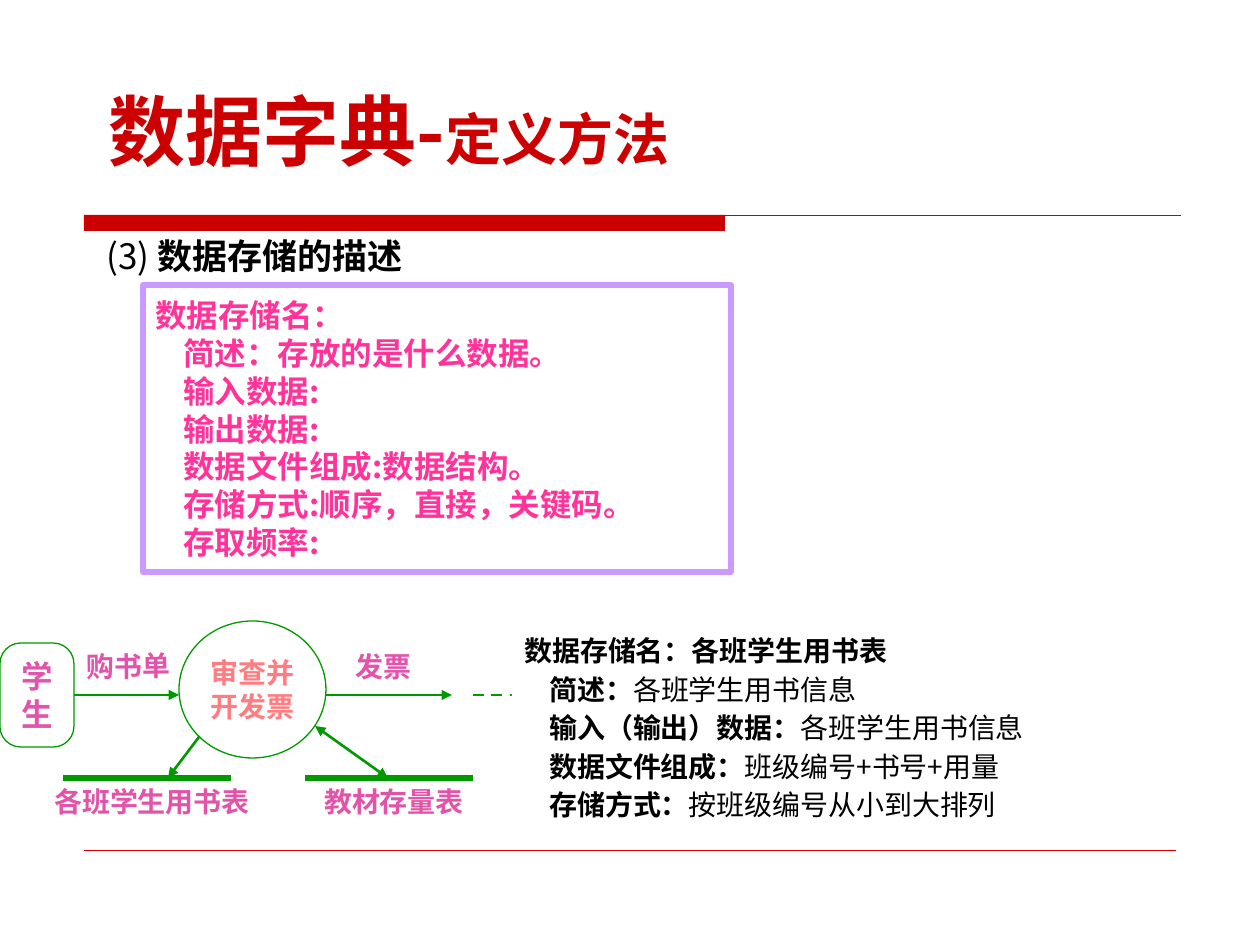
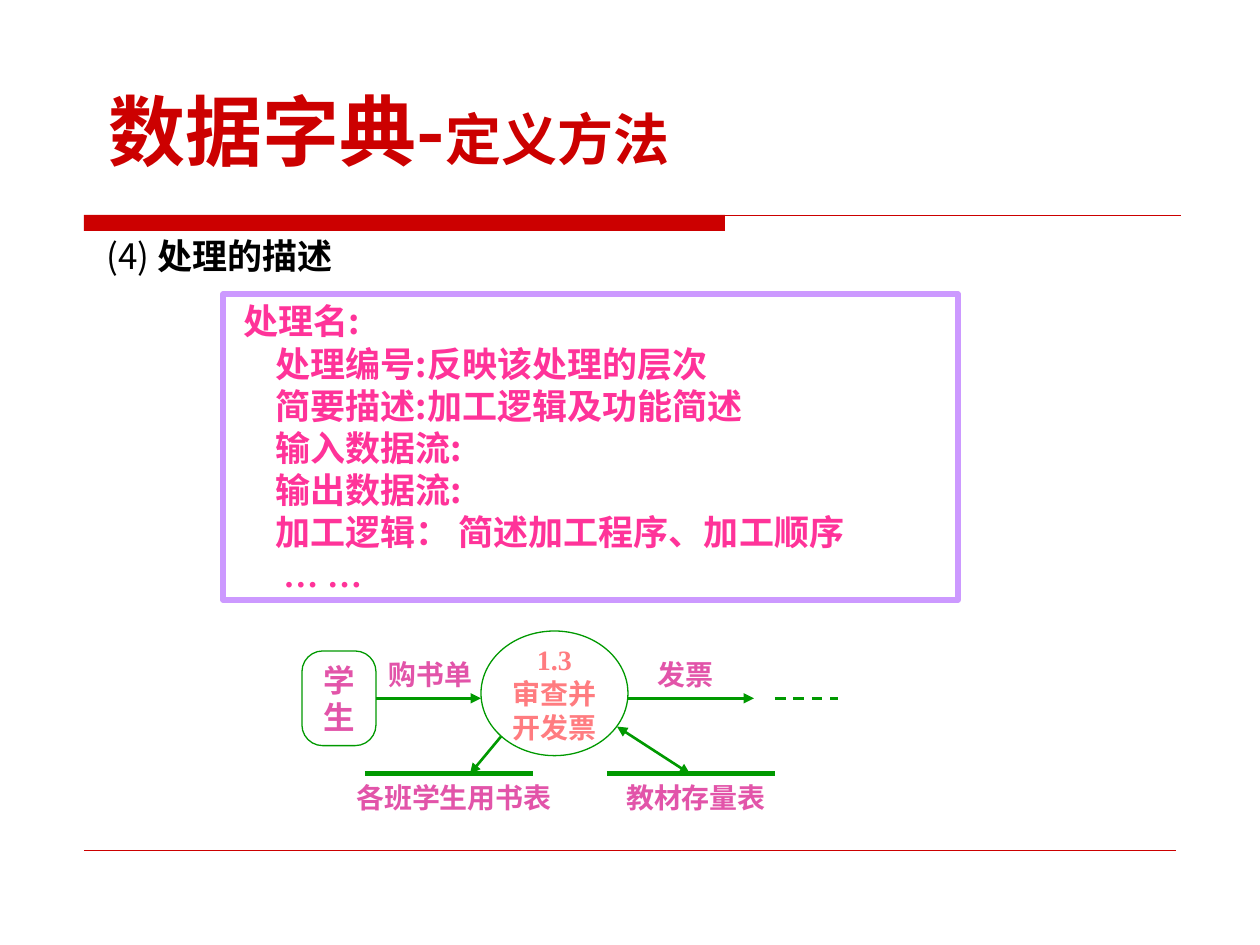
import pptx
import pptx.util
import pptx.dml.color
import pptx.enum.dml
import pptx.enum.shapes
import pptx.enum.text
import lxml.etree

SCALE = 914400 / 126
SANS, SERIF = "Noto Sans CJK SC", "Times New Roman"
COLORS = {"red": "CC0000", "green": "009900", "violet": "CC99FF", "pink": "FF3399",
          "label": "E254A9", "coral": "FF7C80", "black": "000000", "white": "FFFFFF"}
SHAPE = pptx.enum.shapes.MSO_SHAPE
LEFT, CENTER = pptx.enum.text.PP_ALIGN.LEFT, pptx.enum.text.PP_ALIGN.CENTER
TOP, MIDDLE = pptx.enum.text.MSO_ANCHOR.TOP, pptx.enum.text.MSO_ANCHOR.MIDDLE
BOTTOM = pptx.enum.text.MSO_ANCHOR.BOTTOM

TITLE = [("数据字典-", 44), ("定义方法", 32)]

SLIDES = [
    {
        "heading": ("(3) ", "数据存储的描述"),
        "template": {
            "at": (143, 285, 588, 287), "size": 18,
            "lines": [(0, "数据存储名："), (28, "简述：存放的是什么数据。"), (28, "输入数据:"),
                      (28, "输出数据:"), (28, "数据文件组成:数据结构。"),
                      (28, "存储方式:顺序，直接，关键码。"), (28, "存取频率:")],
        },
        "flow": {"left": 0, "top": 621, "stretch": 1, "process": ["审查并", "开发票"]},
        "example": [("数据存储名：各班学生用书表", ""),
                    ("简述：", "各班学生用书信息"),
                    ("输入（输出）数据：", "各班学生用书信息"),
                    ("数据文件组成：", "班级编号+书号+用量"),
                    ("存储方式：", "按班级编号从小到大排列")],
    },
    {
        "heading": ("(4) ", "处理的描述"),
        "template": {
            "at": (223, 294, 735, 306), "size": 20,
            "lines": [(8, "处理名:"), (40, "处理编号:反映该处理的层次"),
                      (40, "简要描述:加工逻辑及功能简述"), (40, "输入数据流:"),
                      (40, "输出数据流:"), (40, "加工逻辑： 简述加工程序、加工顺序"),
                      (48, "… …")],
        },
        "flow": {"left": 302, "top": 631, "stretch": 0.91,
                 "process": ["1.3", "审查并", "开发票"]},
        "example": [],
    },
]

STORES = [("各班学生用书表", 63), ("教材存量表", 305)]
STORE_WIDTH, STORE_LABEL_WIDTH, STORE_Y = 168, 262, 157
AXIS_Y, LABEL_Y, LABEL_H = 74, 22, 47


def px(n):
    return round(n * SCALE)


def rgb(name):
    return pptx.dml.color.RGBColor.from_string(COLORS[name])


def set_font(font, size, color, bold=None, latin=SANS, ea=SANS):
    font.size = pptx.util.Pt(size)
    font.bold = bold
    font.color.rgb = rgb(color)
    font.name = latin
    lxml.etree.SubElement(font._rPr, pptx.oxml.ns.qn("a:ea")).set("typeface", ea)


def set_frame(tf, anchor, wrap):
    tf.word_wrap = wrap
    tf.vertical_anchor = anchor
    tf.margin_left = tf.margin_right = pptx.util.Inches(0.1)
    tf.margin_top = tf.margin_bottom = pptx.util.Inches(0.05)


def add_paragraph(tf, first, align=LEFT, indent=0):
    p = tf.paragraphs[0] if first else tf.add_paragraph()
    p.alignment = align
    if indent:
        pPr = p._p.get_or_add_pPr()
        pPr.set("marL", str(px(indent)))
        pPr.set("indent", "0")
    return p


def add_run(p, text, bold=None):
    r = p.add_run()
    r.text = text
    if bold is not None:
        r.font.bold = bold
    return r


def add_box(s, kind, at, fill=None, line=None, width=0.75):
    sp = s.shapes.add_shape(kind, *map(px, at))
    sp.shadow.inherit = False
    if fill:
        sp.fill.solid()
        sp.fill.fore_color.rgb = rgb(fill)
    else:
        sp.fill.background()
    if line:
        sp.line.color.rgb = rgb(line)
        sp.line.width = pptx.util.Pt(width)
    else:
        sp.line.fill.background()
    return sp


def add_line(s, start, end, color, width, arrows=(), dashed=False):
    c = s.shapes.add_connector(pptx.enum.shapes.MSO_CONNECTOR.STRAIGHT,
                               *map(px, start + end))
    c.line.color.rgb = rgb(color)
    c.line.width = pptx.util.Pt(width)
    if dashed:
        c.line.dash_style = pptx.enum.dml.MSO_LINE.DASH
    ln = c.line._get_or_add_ln()
    for arrow in arrows:
        lxml.etree.SubElement(ln, pptx.oxml.ns.qn("a:" + arrow)).set("type", "triangle")
    lxml.etree.SubElement(c._element.spPr, pptx.oxml.ns.qn("a:effectLst"))
    return c


def add_centered(tf, lines, size, color):
    set_frame(tf, MIDDLE, False)
    for i, text in enumerate(lines):
        p = add_paragraph(tf, i == 0, CENTER)
        add_run(p, text)
        set_font(p.font, size, color, True, SERIF)


def add_label(s, text, at):
    tb = s.shapes.add_textbox(*map(px, at))
    add_centered(tb.text_frame, [text], 16, "label")
    tb.text_frame.vertical_anchor = TOP
    return tb


def add_title(s):
    add_box(s, SHAPE.RECTANGLE, (84, 215, 641, 16), "red")
    add_line(s, (84, 215.5), (1181, 215.5), "red", 0.75)
    add_line(s, (84, 850), (1176, 850), "red", 0.25)
    title = s.shapes.title
    title.left, title.top, title.width, title.height = map(px, (79, 52, 1103, 130))
    set_frame(title.text_frame, BOTTOM, True)
    p = add_paragraph(title.text_frame, True, indent=17)
    for text, size in TITLE:
        add_run(p, text).font.size = pptx.util.Pt(size)
    set_font(p.font, 44, "red", True)


def add_heading(s, number, text):
    tb = s.shapes.add_textbox(*map(px, (94, 228, 446, 55)))
    set_frame(tb.text_frame, TOP, True)
    p = add_paragraph(tb.text_frame, True)
    add_run(p, number, False)
    add_run(p, text, True)
    set_font(p.font, 20, "black")


def add_template(s, at, size, lines):
    sp = add_box(s, SHAPE.RECTANGLE, at, "white", "violet", 3)
    set_frame(sp.text_frame, MIDDLE, True)
    for i, (indent, text) in enumerate(lines):
        p = add_paragraph(sp.text_frame, i == 0, indent=indent)
        add_run(p, text)
        face = SERIF if text == "… …" else SANS
        set_font(p.font, size, "pink", True, face, face)


def add_flow(s, left, top, stretch, process):
    def at(x, y):
        return left + x, top + y * stretch

    circle = add_box(s, SHAPE.OVAL, at(179, 0) + (147, 137 * stretch), line="green")
    add_centered(circle.text_frame, process, 16, "coral")
    student = add_box(s, SHAPE.ROUNDED_RECTANGLE, at(0, 22) + (74, 104 * stretch), line="green")
    student.adjustments[0] = 0.28
    add_centered(student.text_frame, ["学", "生"], 18, "label")

    order = add_line(s, at(74, AXIS_Y), at(179, AXIS_Y), "green", 1.5, ["tailEnd"])
    order.begin_connect(student, 3)
    add_line(s, at(326, AXIS_Y), at(452, AXIS_Y), "green", 1.5, ["tailEnd"])
    add_line(s, at(473, AXIS_Y), at(536, AXIS_Y), "green", 1.5, dashed=True)
    add_label(s, "购书单", at(67, LABEL_Y) + (122, LABEL_H)).rotation = 359.2
    add_label(s, "发票", at(336, LABEL_Y) + (95, LABEL_H))

    for name, x in STORES:
        add_line(s, at(x, STORE_Y), at(x + STORE_WIDTH, STORE_Y), "green", 3)
        label_x = x + (STORE_WIDTH - STORE_LABEL_WIDTH) / 2 + 5
        add_label(s, name, at(label_x, STORE_Y) + (STORE_LABEL_WIDTH, LABEL_H))
    add_line(s, at(168, STORE_Y), at(199, 116), "green", 1.5, ["headEnd"])
    add_line(s, at(388, STORE_Y), at(315, 105), "green", 1.5, ["headEnd", "tailEnd"])


def add_example(s, lines):
    sp = add_box(s, SHAPE.RECTANGLE, (512, 616, 683, 223), "white")
    set_frame(sp.text_frame, MIDDLE, True)
    for i, (term, value) in enumerate(lines):
        p = add_paragraph(sp.text_frame, i == 0, indent=25 if i else 0)
        if i:
            p.line_spacing = 1.15
        add_run(p, term, True)
        if value:
            add_run(p, value, False)
        set_font(p.font, 16, "black")


def main():
    prs = pptx.Presentation()
    prs.slide_width, prs.slide_height = px(1260), px(945)
    for content in SLIDES:
        s = prs.slides.add_slide(prs.slide_layouts[5])
        add_title(s)
        add_heading(s, *content["heading"])
        add_template(s, **content["template"])
        add_flow(s, **content["flow"])
        if content["example"]:
            add_example(s, content["example"])
    prs.save("out.pptx")


if __name__ == "__main__":
    main()
